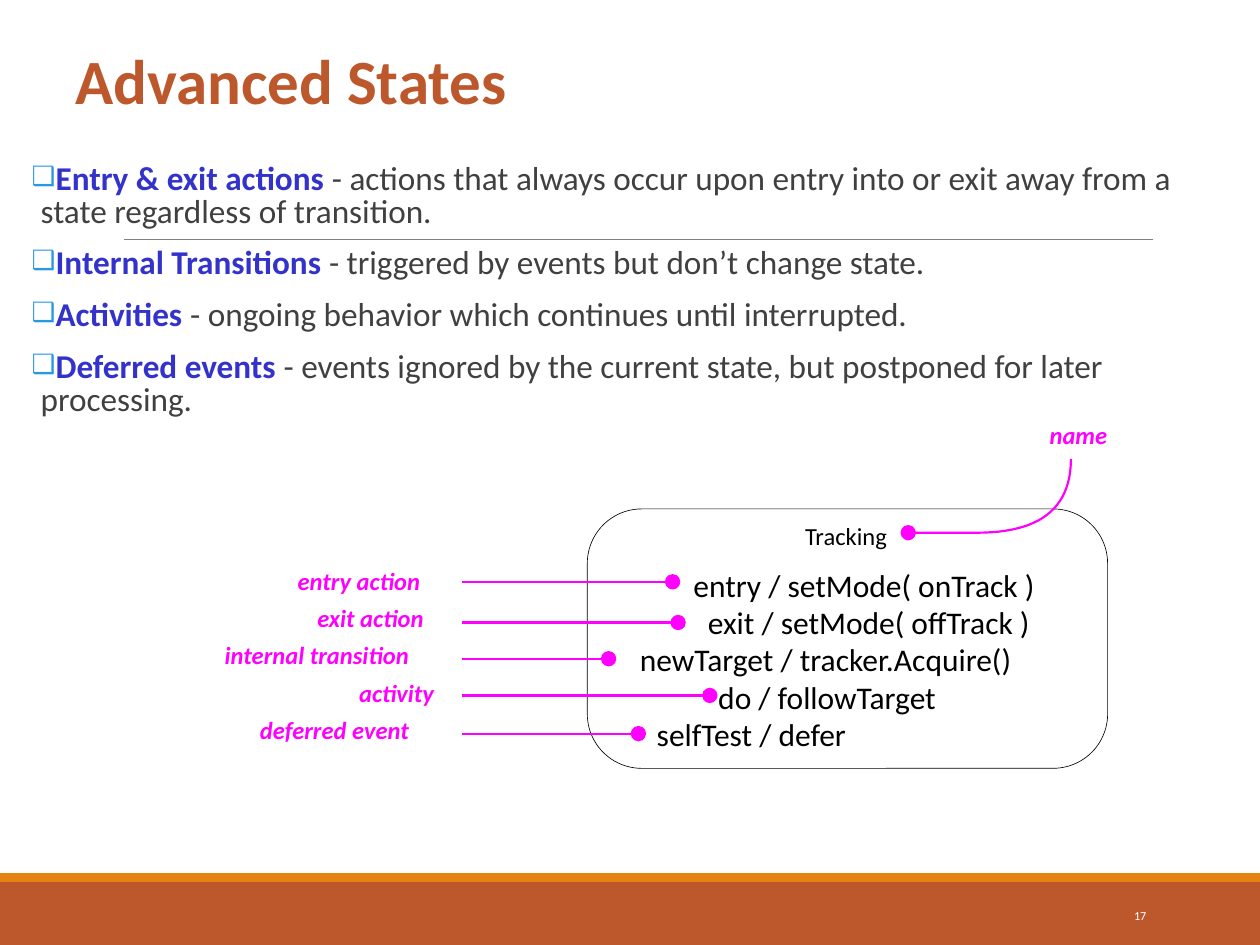
from dataclasses import dataclass

from lxml.etree import SubElement
from pptx import Presentation
from pptx.dml.color import RGBColor
from pptx.enum.shapes import MSO_CONNECTOR as Link, MSO_SHAPE as Shape
from pptx.enum.text import MSO_ANCHOR as Anchor, MSO_AUTO_SIZE as AutoSize, PP_ALIGN as Align
from pptx.oxml.ns import qn
from pptx.util import Cm, Pt


@dataclass(frozen=True)
class Theme:
    font: str = "Calibri"
    rust: str = "BD582C"
    orange: str = "E48312"
    rule: str = "7F7F7F"
    term: str = "3333CC"
    body: str = "404040"
    bullet: str = "2998E3"
    callout: str = "FF00FF"
    ink: str = "000000"
    paper: str = "FFFFFF"
    title_size: float = 36
    body_size: float = 19
    gap_size: float = 20
    entry_size: float = 18
    label_size: float = 14
    number_size: float = 7
    callout_line: float = 1.25
    thin_line: float = 0.5
    state_line: float = 0.37


THEME = Theme()

TITLE = "Advanced States"
DEFINITIONS = [
    ("Entry & exit actions", "- actions that always occur upon entry into or exit away from a state regardless of transition."),
    ("Internal Transitions", "- triggered by events but don’t change state."),
    ("Activities", "- ongoing behavior which continues until interrupted."),
    ("Deferred events", "- events ignored by the current state, but postponed for later processing."),
]
STATE_NAME = "Tracking"
NAME_LABEL = "name"
SLIDE_NUMBER = "17"
# label, label left, pointer height, dot centre, entry left, entry
ROWS = [
    ("entry action", 6.0, 11.73, 13.56, 13.98, "entry / setMode( onTrack )"),
    ("exit action", 6.4, 12.55, 13.67, 14.27, "exit / setMode( offTrack )"),
    ("internal transition", 4.53, 13.28, 12.27, 12.9, "newTarget / tracker.Acquire()"),
    ("activity", 7.24, 14.02, 14.31, 14.48, "do / followTarget"),
    ("deferred event", 5.24, 14.79, 12.87, 13.24, "selfTest / defer"),
]
ROW_TOP, ROW_PITCH = 11.41, 0.75
POINTER_LEFT, DOT = 9.32, 0.31
NAME_CURVE = [(21.59, 9.25), (21.59, 10.3), (20.9, 10.74), (19.7, 10.74)]
NAME_DOT = (18.31, 10.74)
CURVE_STEPS = 24


def rgb(colour):
    return RGBColor.from_string(colour)


def style(font, size, colour, **emphasis):
    font.name, font.size = THEME.font, Pt(size)
    font.color.rgb = rgb(colour)
    for trait, value in emphasis.items():
        setattr(font, trait, value)


def place(part, left, top, width, height):
    part.left, part.top, part.width, part.height = map(Cm, (left, top, width, height))


def add_filled(slide, kind, box, fill, line=None):
    part = slide.shapes.add_shape(kind, *map(Cm, box))
    part.shadow.inherit = False
    part.fill.solid()
    part.fill.fore_color.rgb = rgb(fill)
    if line:
        part.line.color.rgb = rgb(line)
        part.line.width = Pt(THEME.state_line)
    else:
        part.line.fill.background()
    return part


def add_dot(slide, x, y):
    add_filled(slide, Shape.OVAL, (x - DOT / 2, y - DOT / 2, DOT, DOT), THEME.callout)


def add_rule(slide, left, right, y, colour, width):
    rule = slide.shapes.add_connector(Link.STRAIGHT, Cm(left), Cm(y), Cm(right), Cm(y))
    rule.line.color.rgb = rgb(colour)
    rule.line.width = Pt(width)
    SubElement(rule._element.spPr, qn("a:effectLst"))


def add_words(slide, words, left, top, size, colour, **emphasis):
    width = len(words) * size * 0.017 + 0.5
    box = slide.shapes.add_textbox(Cm(left), Cm(top), Cm(width), Cm(size * 0.042))
    frame = box.text_frame
    frame.margin_left = frame.margin_right = frame.margin_top = frame.margin_bottom = 0
    frame.word_wrap = True
    frame.text = words
    style(frame.paragraphs[0].font, size, colour, **emphasis)


def add_label(slide, words, left, top):
    add_words(slide, words, left, top, THEME.label_size, THEME.callout, bold=True, italic=True)


def add_bullet(paragraph):
    props = paragraph._p.get_or_add_pPr()
    props.set("marL", str(Cm(0.18)))
    props.set("indent", str(-Cm(0.18)))
    SubElement(SubElement(props, qn("a:buClr")), qn("a:srgbClr"), val=THEME.bullet)
    SubElement(props, qn("a:buSzPct"), val="80000")
    SubElement(props, qn("a:buChar"), char="❑")


def add_frame(slide):
    add_filled(slide, Shape.RECTANGLE, (0, 17.78, 25.4, 1.27), THEME.rust)
    add_filled(slide, Shape.RECTANGLE, (0, 17.6, 25.4, 0.18), THEME.orange)
    add_rule(slide, 2.49, 23.24, 4.83, THEME.rule, THEME.thin_line)
    number = slide.shapes.add_textbox(Cm(20.62), Cm(17.94), Cm(2.74), Cm(1.02)).text_frame
    number.word_wrap = True
    number.vertical_anchor = Anchor.MIDDLE
    number.text = SLIDE_NUMBER
    number.paragraphs[0].alignment = Align.RIGHT
    style(number.paragraphs[0].font, THEME.number_size, THEME.paper)


def fill_title(title):
    place(title, 1.27, 0.76, 22.86, 1.73)
    frame = title.text_frame
    frame.auto_size = AutoSize.NONE
    frame.vertical_anchor = Anchor.BOTTOM
    frame.text = TITLE
    heading = frame.paragraphs[0]
    heading.alignment = Align.LEFT
    heading.line_spacing = 0.85
    style(heading.font, THEME.title_size, THEME.rust, bold=True)


def fill_definitions(body):
    place(body, 0.64, 3.18, 23.5, 5.51)
    frame = body.text_frame
    frame.auto_size = AutoSize.NONE
    frame.margin_left = frame.margin_right = 0
    for index, (term, meaning) in enumerate(DEFINITIONS):
        definition = frame.add_paragraph() if index else frame.paragraphs[0]
        add_bullet(definition)
        definition.line_spacing = 0.8
        definition.space_before = Pt(9 if index else 0)
        definition.space_after = Pt(1.5)
        style(definition.font, THEME.body_size, THEME.body)
        for words, size, colour, bold in (
            (term, THEME.body_size, THEME.term, True),
            (" ", THEME.gap_size, THEME.body, False),
            (meaning, THEME.body_size, THEME.body, False),
        ):
            run = definition.add_run()
            run.text = words
            style(run.font, size, colour, bold=bold)


def curve_point(t):
    weights = ((1 - t) ** 3, 3 * t * (1 - t) ** 2, 3 * t * t * (1 - t), t ** 3)
    return tuple(Cm(sum(w * p[axis] for w, p in zip(weights, NAME_CURVE))) for axis in (0, 1))


def add_state(slide):
    state = add_filled(slide, Shape.ROUNDED_RECTANGLE, (11.84, 10.26, 10.49, 5.23), THEME.paper, THEME.ink)
    state.adjustments[0] = 0.21
    add_words(slide, STATE_NAME, 16.23, 10.5, THEME.label_size, THEME.ink)
    for index, (label, label_left, y, dot_x, entry_left, entry) in enumerate(ROWS):
        top = ROW_TOP + index * ROW_PITCH
        add_label(slide, label, label_left, top)
        add_words(slide, entry, entry_left, top, THEME.entry_size, THEME.ink)
        add_rule(slide, POINTER_LEFT, dot_x, y, THEME.callout, THEME.callout_line)
        add_dot(slide, dot_x, y)

    add_label(slide, NAME_LABEL, 21.16, 8.46)
    points = [curve_point(step / CURVE_STEPS) for step in range(CURVE_STEPS + 1)]
    points.append(tuple(map(Cm, NAME_DOT)))
    builder = slide.shapes.build_freeform(*points[0])
    builder.add_line_segments(points[1:], close=False)
    pointer = builder.convert_to_shape()
    pointer.shadow.inherit = False
    pointer.fill.background()
    pointer.line.color.rgb = rgb(THEME.callout)
    pointer.line.width = Pt(THEME.callout_line)
    add_dot(slide, *NAME_DOT)


def main():
    deck = Presentation()
    deck.slide_width, deck.slide_height = Cm(25.4), Cm(19.05)
    slide = deck.slides.add_slide(deck.slide_layouts[1])
    fill_title(slide.shapes.title)
    fill_definitions(slide.placeholders[1])
    add_frame(slide)
    add_state(slide)
    deck.save("out.pptx")


if __name__ == "__main__":
    main()
